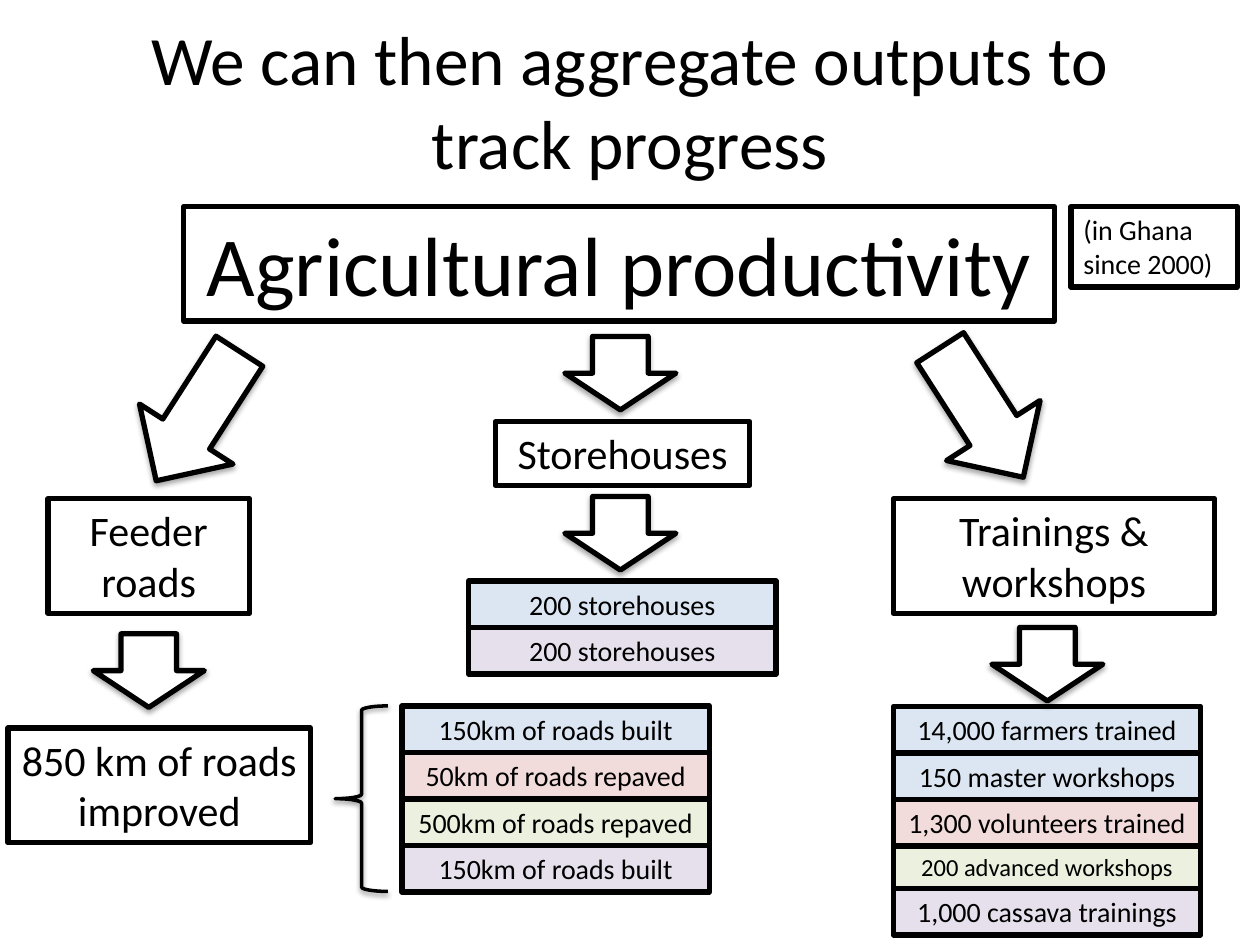
from typing import NamedTuple

from lxml.etree import SubElement
from pptx import Presentation
from pptx.dml.color import RGBColor
from pptx.enum.shapes import MSO_SHAPE as Preset
from pptx.enum.text import MSO_ANCHOR as Anchor, MSO_AUTO_SIZE as AutoSize, PP_ALIGN as Align
from pptx.oxml.ns import qn
from pptx.util import Pt

FONT = "Calibri"
COLORS = {
    "black": "000000",
    "white": "FFFFFF",
    "blue": "DCE6F2",
    "red": "F2DCDB",
    "green": "EBF1DE",
    "purple": "E6E0EC",
}
STACK_WIDTH = 175.7
ROW_HEIGHTS = {16: 26.6, 14: 24.2}


class Box(NamedTuple):
    text: str
    left: float
    top: float
    width: float
    height: float
    size: float = 24
    fill: str = "white"
    align: Align = Align.CENTER


class Row(NamedTuple):
    text: str
    fill: str
    size: int = 16


class Stack(NamedTuple):
    left: float
    top: float
    rows: list[Row]


class Arrow(NamedTuple):
    left: float
    top: float
    length: float = 42
    rotation: float = 90


BOXES = [
    Box("Agricultural productivity", 105, 118, 497.5, 65.5, size=48),
    Box("(in Ghana since 2000)", 612, 118, 95, 46, size=16, align=Align.LEFT),
    Box("Feeder roads", 27.5, 285, 115, 65.5),
    Box("Storehouses", 283, 241, 145.5, 36.3),
    Box("Trainings & workshops", 510.5, 285, 183.5, 65.5),
    Box("850 km of roads improved", 4.5, 416, 173, 65.5),
]
STACKS = [
    Stack(229.7, 403.4, [
        Row("150km of roads built", "blue"),
        Row("50km of roads repaved", "red"),
        Row("500km of roads repaved", "green"),
        Row("150km of roads built", "purple"),
    ]),
    Stack(267.8, 332, [
        Row("200 storehouses", "blue"),
        Row("200 storehouses", "purple"),
    ]),
    Stack(510.5, 403.7, [
        Row("14,000 farmers trained", "blue"),
        Row("150 master workshops", "blue"),
        Row("1,300 volunteers trained", "red"),
        Row("200 advanced workshops", "green", size=14),
        Row("1,000 cassava trainings", "purple"),
    ]),
]
ARROWS = [
    Arrow(69, 206, length=88, rotation=122.7),
    Arrow(517, 204, length=88, rotation=57.3),
    Arrow(64, 351.5),
    Arrow(577.5, 347.8),
    Arrow(333.5, 273),
    Arrow(333.5, 181.5),
]


def rgb(name: str) -> RGBColor:
    return RGBColor.from_string(COLORS[name])


def write(shape, text: str, size: float, align: Align) -> None:
    frame = shape.text_frame
    frame.text = text
    frame.word_wrap = True
    paragraph = frame.paragraphs[0]
    paragraph.alignment = align
    font = paragraph.runs[0].font
    font.name, font.size = FONT, Pt(size)
    font.color.rgb = rgb("black")


def outline(shape, width: float) -> None:
    shape.line.color.rgb = rgb("black")
    shape.line.width = Pt(width)


def fill_with(shape, color: str) -> None:
    shape.fill.solid()
    shape.fill.fore_color.rgb = rgb(color)


def add_drop_shadow(shape, distance: float, opacity: int) -> None:
    """Put a soft black shadow straight below the shape."""
    shape.shadow.inherit = False
    effects = shape._element.spPr.find(qn("a:effectLst"))
    shadow = SubElement(effects, qn("a:outerShdw"), blurRad=str(Pt(3.1)),
                        dist=str(Pt(distance)), dir="5400000", rotWithShape="0")
    color = SubElement(shadow, qn("a:srgbClr"), val=COLORS["black"])
    SubElement(color, qn("a:alpha"), val=str(opacity * 1000))


def draw_title(slide, text: str) -> None:
    title = slide.shapes.add_textbox(Pt(36), Pt(12), Pt(648), Pt(90))
    write(title, text, 39.6, Align.CENTER)
    title.text_frame.vertical_anchor = Anchor.MIDDLE


def draw_box(slide, box: Box) -> None:
    shape = slide.shapes.add_shape(Preset.RECTANGLE, Pt(box.left), Pt(box.top),
                                   Pt(box.width), Pt(box.height))
    shape.shadow.inherit = False
    fill_with(shape, box.fill)
    outline(shape, 3)
    write(shape, box.text, box.size, box.align)
    shape.text_frame.vertical_anchor = Anchor.TOP
    shape.text_frame.auto_size = AutoSize.SHAPE_TO_FIT_TEXT


def draw_stack(slide, stack: Stack) -> None:
    top = stack.top
    for row in stack.rows:
        height = ROW_HEIGHTS[row.size]
        draw_box(slide, Box(row.text, stack.left, top, STACK_WIDTH, height, row.size, row.fill))
        top += height


def draw_arrow(slide, arrow: Arrow) -> None:
    shape = slide.shapes.add_shape(Preset.RIGHT_ARROW, Pt(arrow.left), Pt(arrow.top),
                                   Pt(arrow.length), Pt(63.5))
    shape.rotation = arrow.rotation
    fill_with(shape, "white")
    outline(shape, 3)
    add_drop_shadow(shape, 1.8, 35)


def draw_roads_brace(slide) -> None:
    brace = slide.shapes.add_shape(Preset.LEFT_BRACE, Pt(191.5), Pt(403.4), Pt(30.2), Pt(106))
    brace.fill.background()
    outline(brace, 2)
    add_drop_shadow(brace, 1.6, 38)


def main() -> None:
    deck = Presentation()
    deck.slide_width, deck.slide_height = Pt(720), Pt(540)
    slide = deck.slides.add_slide(deck.slide_layouts[6])
    draw_title(slide, "We can then aggregate outputs to track progress")
    for box in BOXES:
        draw_box(slide, box)
    for stack in STACKS:
        draw_stack(slide, stack)
    draw_roads_brace(slide)
    for arrow in ARROWS:
        draw_arrow(slide, arrow)
    deck.save("out.pptx")


if __name__ == "__main__":
    main()
